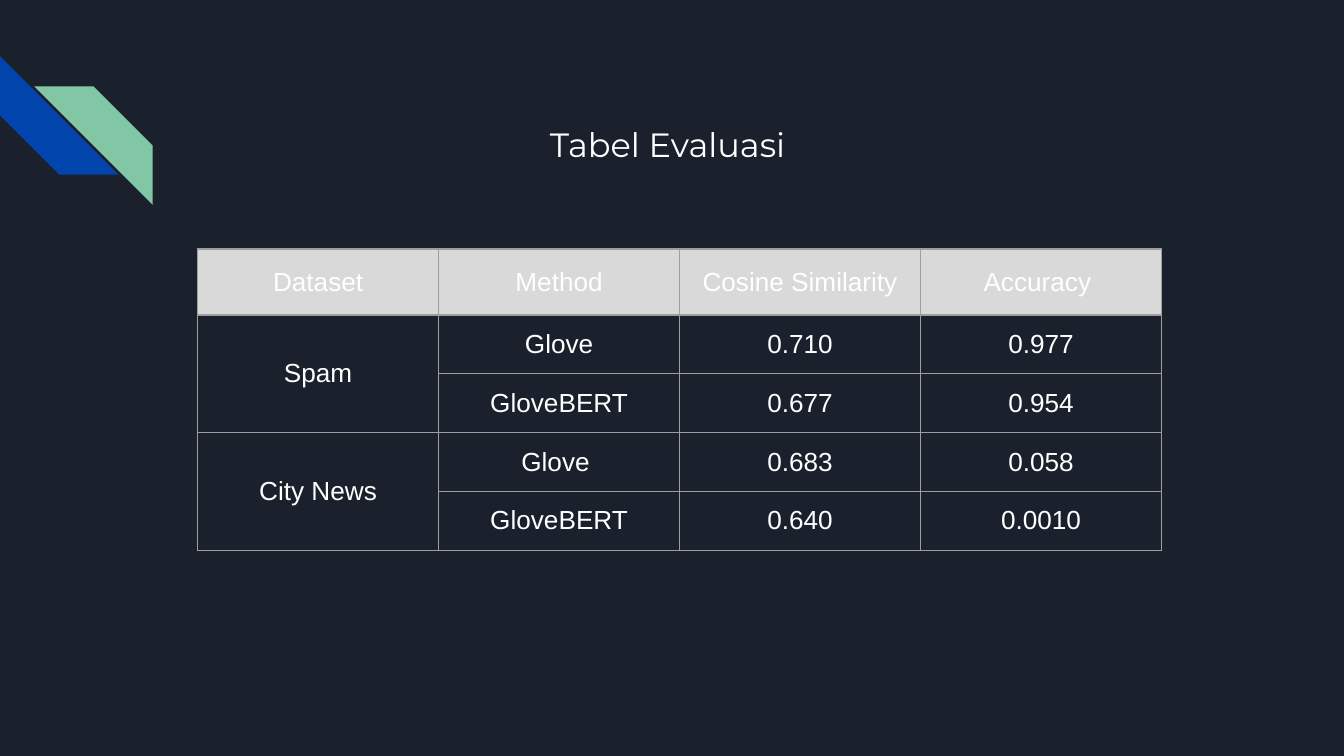
from lxml.etree import SubElement
from pptx import Presentation
from pptx.dml.color import RGBColor
from pptx.enum.shapes import MSO_SHAPE
from pptx.enum.text import MSO_ANCHOR, PP_ALIGN
from pptx.oxml.ns import qn
from pptx.util import Pt

TITLE = "Tabel Evaluasi "
HEAD = ["Dataset", "Method", "Cosine Similarity", "Accuracy "]
GROUPS = [
    ("Spam", [("Glove", "0.710", "0.977"), ("GloveBERT", "0.677", "0.954")]),
    ("City News", [("Glove ", "0.683", "0.058"), ("GloveBERT", "0.640", "0.0010")]),
]

NAVY = RGBColor(0x1B, 0x21, 0x2C)
BLUE = RGBColor(0x01, 0x45, 0xAC)
GREEN = RGBColor(0x82, 0xC7, 0xA5)
WHITE = RGBColor(0xFF, 0xFF, 0xFF)
LIGHT = RGBColor(0xD9, 0xD9, 0xD9)
GREY = RGBColor(0x9E, 0x9E, 0x9E)

STRIPES = [(0, 30, 270, BLUE), (18.25, 46.25, 90, GREEN)]  # left, top, turn, color
SIDE = 63.5
LEFT, TOP, COL = 105.9, 133.4, 129.1
HEAD_H, ROW_H = 35.4, 31.5
INSET = Pt(7.2)


def inset(box):
    box.margin_left = box.margin_right = INSET
    box.margin_top = box.margin_bottom = INSET


def write(frame, text, font, size):
    para = frame.paragraphs[0]
    para.alignment = PP_ALIGN.CENTER
    run = para.add_run()
    run.text = text
    run.font.name = font
    run.font.size = Pt(size)
    run.font.color.rgb = WHITE


def edge(cell):
    """Draw the four borders; must come before the cell's fill."""
    props = cell._tc.get_or_add_tcPr()
    for tag in ("a:lnL", "a:lnR", "a:lnT", "a:lnB"):
        line = SubElement(props, qn(tag), w=str(Pt(0.75)))
        fill = SubElement(line, qn("a:solidFill"))
        SubElement(fill, qn("a:srgbClr"), val=str(GREY))


def add_stripe(slide, left, top, turn, color):
    stripe = slide.shapes.add_shape(
        MSO_SHAPE.DIAGONAL_STRIPE, Pt(left), Pt(top), Pt(SIDE), Pt(SIDE))
    stripe.rotation = turn
    stripe.shadow.inherit = False
    stripe.fill.solid()
    stripe.fill.fore_color.rgb = color
    stripe.line.fill.background()


def add_title(slide):
    title = slide.shapes.title
    title.left, title.top = Pt(82.8), Pt(59)
    title.width, title.height = Pt(554.4), Pt(43.2)
    frame = title.text_frame
    inset(frame)
    frame.vertical_anchor = MSO_ANCHOR.TOP
    write(frame, TITLE, "Montserrat", 18)


def add_grid(slide):
    rows = [HEAD]
    for name, tests in GROUPS:
        for i, test in enumerate(tests):
            rows.append(["" if i else name, *test])
    high = HEAD_H + ROW_H * (len(rows) - 1)
    table = slide.shapes.add_table(
        len(rows), len(HEAD), Pt(LEFT), Pt(TOP),
        Pt(COL * len(HEAD)), Pt(high)).table
    for col in table.columns:
        col.width = Pt(COL)
    for r, row in enumerate(rows):
        table.rows[r].height = Pt(ROW_H if r else HEAD_H)
        for c, text in enumerate(row):
            cell = table.cell(r, c)
            inset(cell)
            cell.vertical_anchor = MSO_ANCHOR.MIDDLE
            edge(cell)
            if r:
                cell.fill.background()
            else:
                cell.fill.solid()
                cell.fill.fore_color.rgb = LIGHT
            if text:
                write(cell.text_frame, text, "Arial", 14)
    first = 1
    for _, tests in GROUPS:
        last = first + len(tests) - 1
        table.cell(first, 0).merge(table.cell(last, 0))
        first = last + 1


def main():
    deck = Presentation()
    deck.slide_width, deck.slide_height = Pt(720), Pt(405)
    slide = deck.slides.add_slide(deck.slide_layouts[5])
    back = slide.background.fill
    back.solid()
    back.fore_color.rgb = NAVY
    for stripe in STRIPES:
        add_stripe(slide, *stripe)
    add_grid(slide)
    add_title(slide)
    deck.save("out.pptx")


if __name__ == "__main__":
    main()
